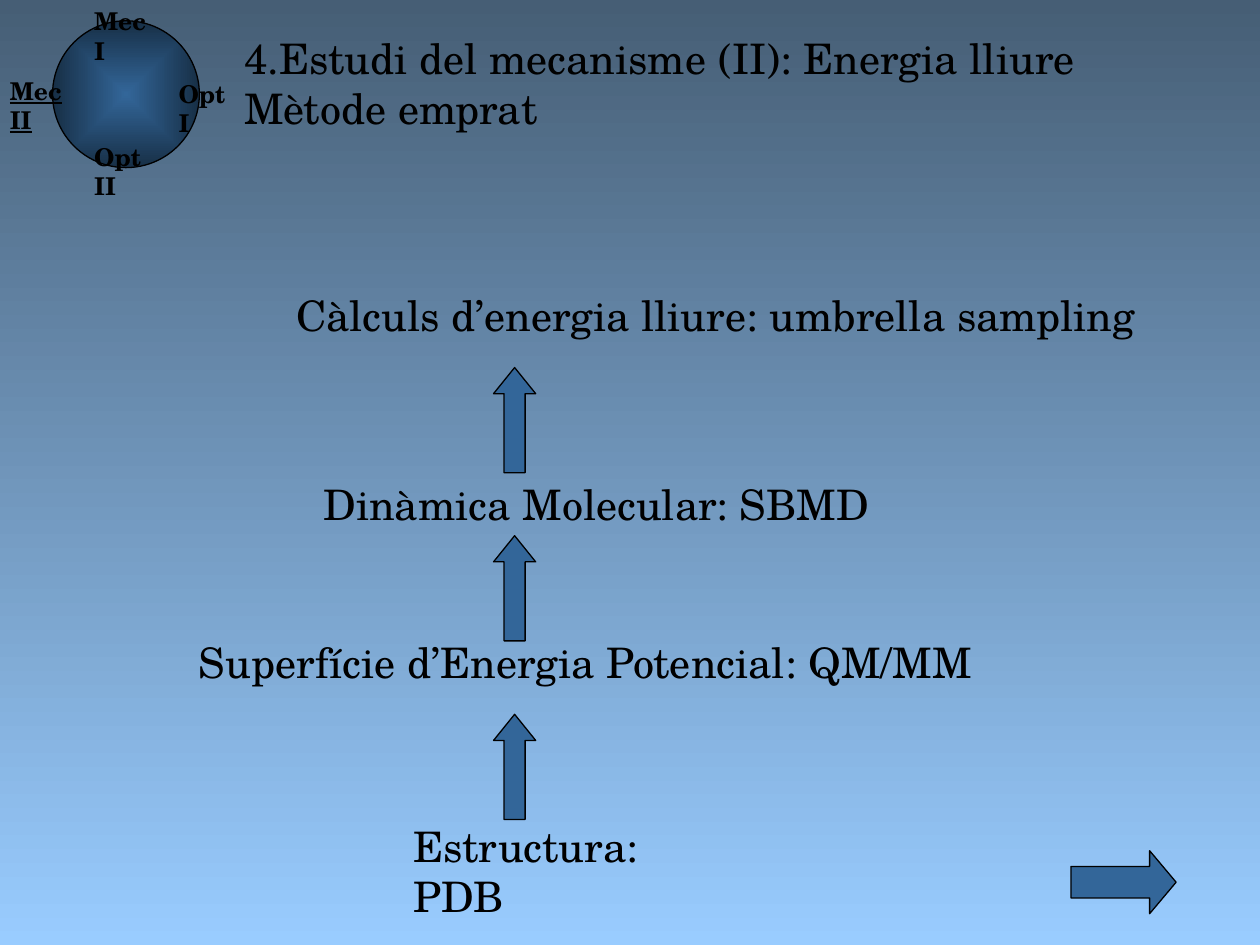
from lxml import etree
from pptx import Presentation, util as u
from pptx.dml.color import RGBColor
from pptx.enum import shapes, text
from pptx.oxml import ns

COLOURS = {"ink": "000000", "arrow": "336699", "disc_edge": "172F46",
           "sky_top": "465E75", "sky_bottom": "99CCFF"}
FONT = "TeX Gyre Schola"


def add_text(parent, lines, box, **formats):
    shape = parent.shapes.add_textbox(*(u.Cm(length) for length in box))
    frame = shape.text_frame
    frame.word_wrap = True
    frame.auto_size = text.MSO_AUTO_SIZE.SHAPE_TO_FIT_TEXT
    frame.text = lines
    values = {"name": FONT, "size": u.Pt(24), **formats}
    for paragraph in frame.paragraphs:
        font = paragraph.runs[0].font
        for name, value in values.items():
            setattr(font, name, value)
        font.color.rgb = RGBColor.from_string(COLOURS["ink"])


def add_outlined(parent, kind, box):
    shape = parent.shapes.add_shape(kind, *(u.Cm(length) for length in box))
    shape.shadow.inherit = False
    shape.fill.solid()
    shape.fill.fore_color.rgb = RGBColor.from_string(COLOURS["arrow"])
    shape.line.color.rgb = RGBColor.from_string(COLOURS["ink"])
    shape.line.width = u.Pt(0.75)
    return shape


presentation = Presentation()
presentation.slide_width, presentation.slide_height = u.Cm(25.4), u.Cm(19.05)
slide = presentation.slides.add_slide(presentation.slide_layouts[6])

# Background and navigation disc, each with a two-colour gradient
navigation = slide.shapes.add_group_shape()
disc = add_outlined(navigation, shapes.MSO_SHAPE.OVAL, (1.06, 0.42, 2.96, 2.96))
sky = slide.background.fill
for fill, names in ((sky, ("sky_top", "sky_bottom")),
                    (disc.fill, ("arrow", "disc_edge"))):
    fill.gradient()
    for stop, name, position in zip(fill.gradient_stops, names, (0, 1)):
        stop.color.rgb = RGBColor.from_string(COLOURS[name])
        stop.position = position
sky.gradient_angle = 270

# The disc shades outwards from its centre
gradient = disc.element.spPr.find(ns.qn("a:gradFill"))
gradient.remove(gradient.find(ns.qn("a:lin")))
shading = etree.SubElement(gradient, ns.qn("a:path"), path="rect")
etree.SubElement(shading, ns.qn("a:fillToRect"),
                 {side: "50000" for side in "ltrb"})

# Navigation labels, the current section underlined
for label, left, top, width in (("Mec II", -0.05, 1.4, 2.03),
                                ("Mec I", 1.65, 0, 1.85),
                                ("Opt I", 3.35, 1.47, 1.73),
                                ("Opt II", 1.65, 2.74, 1.93)):
    add_text(navigation, label, (left, top, width, 0.86), size=u.Pt(14),
             bold=True, underline=True if label == "Mec II" else None)

# Title
add_text(slide, "4.Estudi del mecanisme (II): Energia lliure\nMètode emprat",
         (4.67, 0.53, 17.42, 2.29))

# Steps of the method, from top to bottom
for step, left, top, width in (
        ("Càlculs d’energia lliure: umbrella sampling", 5.72, 5.72, 17.88),
        ("Dinàmica Molecular: SBMD", 6.27, 9.53, 11.58),
        ("Superfície d’Energia Potencial: QM/MM", 3.76, 12.7, 16.33),
        ("Estructura: PDB", 8.08, 16.41, 6.91)):
    add_text(slide, step, (left, top, width, 1.27))

# Arrows between the steps
for top in (7.41, 10.8, 14.4):
    arrow = add_outlined(slide, shapes.MSO_SHAPE.UP_ARROW, (9.95, top, 0.85, 2.12))
    arrow.adjustments[1] = 0.62

# Arrow to the next slide
forward = add_outlined(slide, shapes.MSO_SHAPE.RIGHT_ARROW,
                       (21.59, 17.15, 2.12, 1.27))
forward.adjustments[1] = 0.42

presentation.save("out.pptx")
